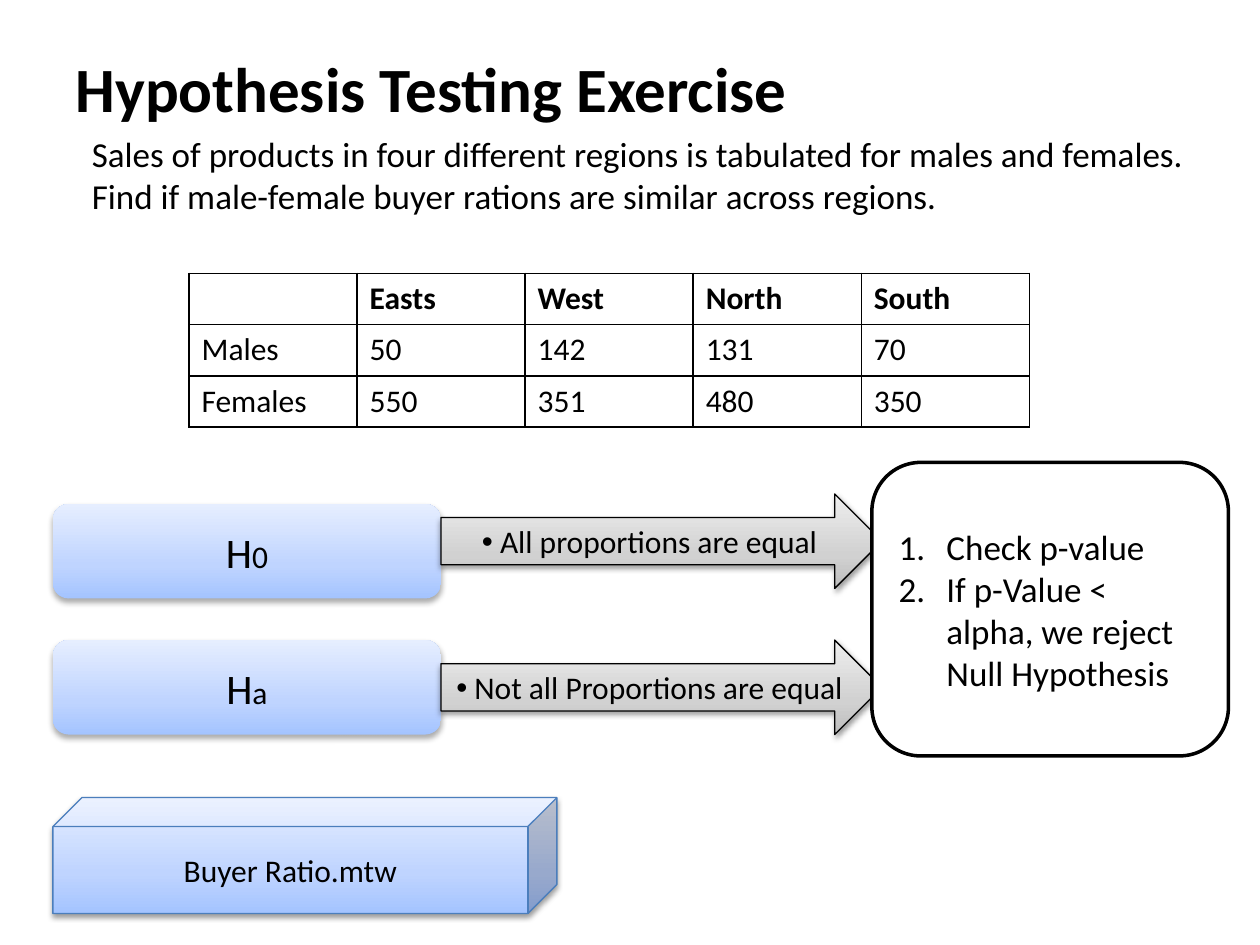
from lxml import etree
from pptx import Presentation
from pptx.dml.color import RGBColor
from pptx.enum.shapes import MSO_SHAPE
from pptx.enum.text import MSO_ANCHOR, PP_ALIGN
from pptx.oxml.ns import qn
from pptx.util import Inches, Pt

ROUND = MSO_SHAPE.ROUNDED_RECTANGLE
ARROW = MSO_SHAPE.RIGHT_ARROW
CUBE = MSO_SHAPE.CUBE
TOP, MID = MSO_ANCHOR.TOP, MSO_ANCHOR.MIDDLE
LEFT, MIDDLE = PP_ALIGN.LEFT, PP_ALIGN.CENTER

FONT = "Calibri"
INK = {"black": "000000", "white": "FFFFFF", "edge": "4B7EBC"}
FADES = {
    "blue": [(0, "A4C4FF"), (35, "BFD4FF"), (100, "E6EEFF")],
    "gray": [(0, "BDBDBD"), (35, "D1D1D1"), (100, "EEEEEE")],
}
SOFT = {"alpha": 32, "blur": 3.5, "dist": 2.2}
FIRM = {"alpha": 38, "blur": 3.1, "dist": 1.6}
ROWS = [
    ["", "Easts", "West", "North", "South"],
    ["Males", "50", "142", "131", "70"],
    ["Females", "550", "351", "480", "350"],
]


def node(base, tag, **attrs):
    item = etree.SubElement(base, qn(tag))
    for key, val in attrs.items():
        item.set(key, str(val))
    return item


def color(base, code):
    return node(base, "a:srgbClr", val=code)


def write(frame, paras, size=18, bold=False, align=LEFT, anchor=TOP,
          mark=None, left=0, hang=0, before=0):
    frame.word_wrap = True
    frame.vertical_anchor = anchor
    for i, runs in enumerate(paras):
        para = frame.paragraphs[0] if i == 0 else frame.add_paragraph()
        para.alignment = align
        para.space_before = Pt(before)
        props = para._p.get_or_add_pPr()
        props.set("marL", str(Inches(left)))
        props.set("indent", str(-Inches(hang)))
        if mark == "number":
            node(props, "a:buFont", typeface="+mj-lt")
            node(props, "a:buAutoNum", type="arabicPeriod")
        elif mark:
            node(props, "a:buFont", typeface="Arial")
            node(props, "a:buChar", char=mark)
        else:
            node(props, "a:buNone")
        for part in runs:
            text, points = part if isinstance(part, tuple) else (part, size)
            run = para.add_run()
            run.text = text
            run.font.name = FONT
            run.font.size = Pt(points)
            run.font.bold = bold
            run.font.color.rgb = RGBColor.from_string(INK["black"])


def shade(shape, alpha, blur, dist):
    glow = shape._element.spPr.find(qn("a:effectLst"))
    drop = node(glow, "a:outerShdw", blurRad=Pt(blur), dist=Pt(dist),
                dir=5400000, rotWithShape=0)
    node(color(drop, INK["black"]), "a:alpha", val=alpha * 1000)


def block(slide, kind, box, fade=None, line=None, width=0.75, drop=None):
    shape = slide.shapes.add_shape(kind, *map(Inches, box))
    shape.shadow.inherit = False
    if fade:
        shape.fill.gradient()
        shape.fill.gradient_angle = 90
        stops = shape._element.spPr.find(".//" + qn("a:gsLst"))
        for old in list(stops):
            stops.remove(old)
        for pos, code in FADES[fade]:
            color(node(stops, "a:gs", pos=pos * 1000), code)
    else:
        shape.fill.solid()
        shape.fill.fore_color.rgb = RGBColor.from_string(INK["white"])
    if line:
        shape.line.color.rgb = RGBColor.from_string(INK[line])
        shape.line.width = Pt(width)
    else:
        shape.line.fill.background()
    if drop:
        shade(shape, **drop)
    return shape.text_frame


def head(slide, box):
    title = slide.shapes.title
    title.left, title.top, title.width, title.height = map(Inches, box)
    write(title.text_frame, [["Hypothesis Testing Exercise"]],
          size=36, bold=True, anchor=MID)


def intro(slide, box):
    frame = slide.shapes.add_textbox(*map(Inches, box)).text_frame
    write(frame, [["Sales of products in four different regions is tabulated "
                   "for males and females. Find if male-female buyer rations "
                   "are similar across regions."]],
          size=20, left=0.38, before=4)


def border(cell):
    props = cell._tc.get_or_add_tcPr()
    for side in "LRTB":
        line = node(props, "a:ln" + side, w=Pt(1))
        color(node(line, "a:solidFill"), INK["black"])


def sales(slide, box):
    grid = slide.shapes.add_table(len(ROWS), len(ROWS[0]),
                                  *map(Inches, box)).table
    grid.horz_banding = False
    for r, row in enumerate(ROWS):
        for c, text in enumerate(row):
            cell = grid.cell(r, c)
            border(cell)
            cell.fill.background()
            write(cell.text_frame, [[text]] if text else [], bold=r == 0)


def claim(slide, box, sign, text, rise=0):
    x, y, wide, high = box
    frame = block(slide, ROUND, (x, y, 3.08, high), "blue", drop=SOFT)
    write(frame, [["H", (sign, 18)]], size=24, align=MIDDLE, anchor=MID)
    frame = block(slide, ARROW, (x + 3.08, y - rise, wide - 3.08, high),
                  "gray", "black", drop=FIRM)
    write(frame, [[" " + text]], align=MIDDLE, anchor=MID, mark="•")


def rule(slide, box):
    frame = block(slide, ROUND, box, line="black", width=2)
    write(frame, [["Check p-value"],
                  ["If p-Value < alpha, we reject Null Hypothesis"]],
          size=20, anchor=MID, mark="number", left=0.38, hang=0.38)


def source(slide, box):
    frame = block(slide, CUBE, box, "blue", "edge", drop=FIRM)
    write(frame, [["Buyer Ratio.mtw"]], align=MIDDLE, anchor=MID)


def main():
    deck = Presentation()
    deck.slide_width, deck.slide_height = Inches(10), Inches(7.5)
    slide = deck.slides.add_slide(deck.slide_layouts[5])
    head(slide, (0.5, 0.3, 9, 0.78))
    intro(slide, (0.25, 1, 9.58, 6.25))
    sales(slide, (1.5, 2.17, 6.67, 1.22))
    claim(slide, (0.42, 4, 6.58, 0.75), "0", "All proportions are equal", 0.08)
    claim(slide, (0.42, 5.08, 6.58, 0.75), "a", "Not all Proportions are equal")
    rule(slide, (6.92, 3.67, 2.83, 2.33))
    source(slide, (0.42, 6.33, 4, 0.92))
    deck.save("out.pptx")


if __name__ == "__main__":
    main()
